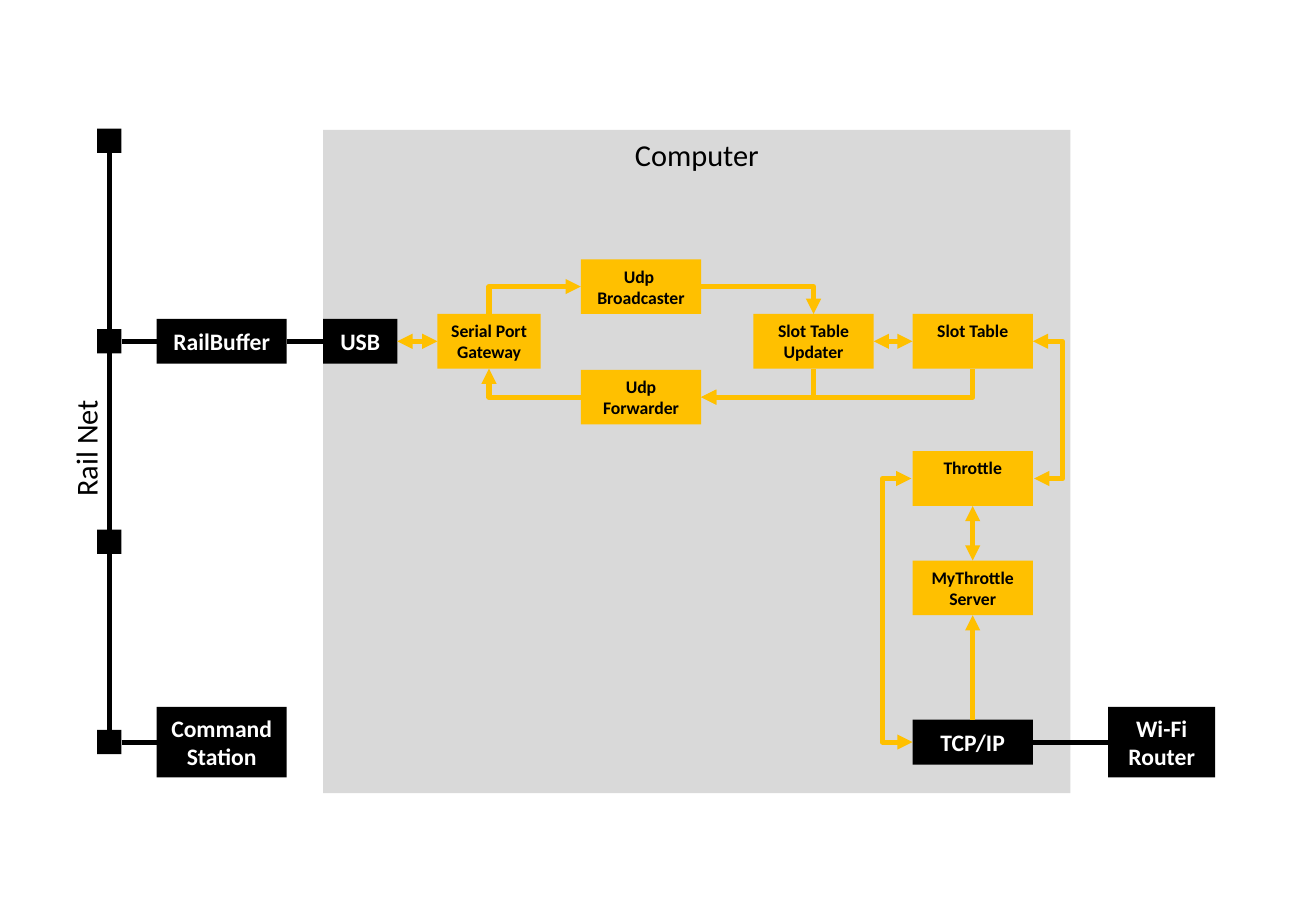
from lxml import etree
from pptx import Presentation
from pptx.dml.color import RGBColor
from pptx.enum.shapes import MSO_CONNECTOR, MSO_SHAPE
from pptx.enum.text import MSO_ANCHOR, PP_ALIGN
from pptx.oxml.ns import qn
from pptx.util import Inches, Pt

RECT = MSO_SHAPE.RECTANGLE
LINE, ELBOW = MSO_CONNECTOR.STRAIGHT, MSO_CONNECTOR.ELBOW
TOP_ANCHOR, MID_ANCHOR = MSO_ANCHOR.TOP, MSO_ANCHOR.MIDDLE
CENTER = PP_ALIGN.CENTER
TOP, LEFT, BOTTOM, RIGHT = range(4)  # connection sites of a rectangle

FONT = "Calibri"
BLACK, WHITE, GRAY, GOLD = "000000", "FFFFFF", "D9D9D9", "FFC000"

# Style: fill, text colour, size, bold, anchor
PANEL = (GRAY, BLACK, 18, False, TOP_ANCHOR)
DEVICE = (BLACK, WHITE, 14, True, MID_ANCHOR)
MODULE = (GOLD, BLACK, 10.5, True, TOP_ANCHOR)

# Row centres, from top to bottom
CAST, MAIN, SEND, DRIVE, SERVE, BASE = 2.36, 2.81, 3.27, 3.94, 4.84, 6.11

NODE_X, NODE_TOP, NODE_STEP, NODE_SIZE = 0.8, 1.16, 1.65, 0.2
NODES = ["node 1", "node 2", "node 3", "node 4"]

# Key: paragraphs, left, row centre, width, height, style
BOXES = {
    "computer": (["Computer"], 2.66, 3.8, 6.15, 5.46, PANEL),
    "station": (["Command Station"], 1.29, BASE, 1.07, 0.58, DEVICE),
    "buffer": (["RailBuffer"], 1.29, MAIN, 1.07, 0.37, DEVICE),
    "usb": (["USB"], 2.66, MAIN, 0.61, 0.37, DEVICE),
    "router": (["Wi-Fi Router"], 9.12, BASE, 0.88, 0.58, DEVICE),
    "tcp": (["TCP/IP"], 7.51, BASE, 0.99, 0.37, DEVICE),
    "gateway": (["Serial Port Gateway"], 3.6, MAIN, 0.85, 0.45, MODULE),
    "caster": (["Udp ", "Broadcaster"], 4.78, CAST, 0.99, 0.45, MODULE),
    "sender": (["Udp Forwarder"], 4.78, SEND, 0.99, 0.45, MODULE),
    "updater": (["Slot Table Updater"], 6.2, MAIN, 0.99, 0.45, MODULE),
    "slots": (["Slot Table"], 7.51, MAIN, 0.99, 0.45, MODULE),
    "throttle": (["Throttle"], 7.51, DRIVE, 0.99, 0.45, MODULE),
    "server": (["MyThrottle Server"], 7.51, SERVE, 0.99, 0.45, MODULE),
}

# Wires: box, side, box, side
WIRES = [(a, BOTTOM, b, TOP) for a, b in zip(NODES, NODES[1:])] + [
    ("node 2", RIGHT, "buffer", LEFT),
    ("node 4", RIGHT, "station", LEFT),
    ("buffer", RIGHT, "usb", LEFT),
    ("tcp", RIGHT, "router", LEFT),
]

# Flows: box, side, box, side, ends with an arrowhead
HEAD, TAIL = ("headEnd",), ("tailEnd",)
BOTH = HEAD + TAIL
FLOWS = [
    ("caster", LEFT, "gateway", TOP, HEAD),
    ("sender", LEFT, "gateway", BOTTOM, TAIL),
    ("usb", RIGHT, "gateway", LEFT, BOTH),
    ("caster", RIGHT, "updater", TOP, TAIL),
    ("sender", RIGHT, "updater", BOTTOM, HEAD),
    ("sender", RIGHT, "slots", BOTTOM, HEAD),
    ("updater", RIGHT, "slots", LEFT, BOTH),
    ("slots", RIGHT, "throttle", RIGHT, BOTH),
    ("throttle", BOTTOM, "server", TOP, BOTH),
    ("tcp", LEFT, "throttle", LEFT, BOTH),
    ("tcp", TOP, "server", BOTTOM, TAIL),
]
REACH, SHIFT = 0.25, 0.01  # how far a loop bulges; offset of its two ends


def color(code):
    """Turn a hex string into a colour."""
    return RGBColor.from_string(code)


def write(frame, paras, ink, size, bold=False):
    """Fill a text frame with centred paragraphs."""
    for i, text in enumerate(paras):
        para = frame.add_paragraph() if i else frame.paragraphs[0]
        para.alignment = CENTER
        run = para.add_run()
        run.text = text
        run.font.name, run.font.size, run.font.bold = FONT, Pt(size), bold
        run.font.color.rgb = color(ink)


def block(x, mid, wide, high, fill):
    """Add a plain rectangle centred on a row."""
    shape = slide.shapes.add_shape(
        RECT, Inches(x), Inches(mid - high / 2), Inches(wide), Inches(high))
    shape.shadow.inherit = False
    shape.fill.solid()
    shape.fill.fore_color.rgb = color(fill)
    shape.line.fill.background()
    return shape


def box(paras, x, mid, wide, high, style):
    """Add a labelled rectangle."""
    fill, ink, size, bold, anchor = style
    shape = block(x, mid, wide, high, fill)
    shape.text_frame.word_wrap = True
    shape.text_frame.vertical_anchor = anchor
    write(shape.text_frame, paras, ink, size, bold)
    return shape


def join(start, side, end, goal, ink, ends=()):
    """Connect two box sides: straight, around a corner or as a loop."""
    loop = side == goal
    corner = (side - goal) % 2 == 1
    kind = ELBOW if loop or corner else LINE
    link = slide.shapes.add_connector(kind, 0, 0, 0, 0)
    link.begin_connect(parts[start], side)
    link.end_connect(parts[end], goal)
    link.line.width = Pt(3)
    link.line.color.rgb = color(ink)
    props = link._element.spPr
    shape = props.find(qn("a:prstGeom"))
    if corner:
        shape.set("prst", "bentConnector2")
    if loop:
        step = SHIFT if side == RIGHT else -SHIFT
        link.end_x = link.begin_x + Inches(step)
        bend = etree.SubElement(shape.find(qn("a:avLst")), qn("a:gd"))
        bend.set("name", "adj1")
        bend.set("fmla", f"val {round(REACH / SHIFT * 100000)}")
    for tip in ends:
        etree.SubElement(props.find(qn("a:ln")), qn("a:" + tip)).set("type", "triangle")
    etree.SubElement(props, qn("a:effectLst"))


deck = Presentation()
deck.slide_width, deck.slide_height = Inches(10.83), Inches(7.5)
slide = deck.slides.add_slide(deck.slide_layouts[6])

parts = {key: box(*spec_row) for key, spec_row in BOXES.items()}
for i, key in enumerate(NODES):
    parts[key] = block(NODE_X, NODE_TOP + i * NODE_STEP, NODE_SIZE, NODE_SIZE, BLACK)

for wire in WIRES:
    join(*wire[:4], BLACK)
for *route, ends in FLOWS:
    join(*route, GOLD, ends)

label = slide.shapes.add_textbox(Inches(0.18), Inches(3.49), Inches(1.05), Inches(0.4))
label.rotation = 270
label.text_frame.word_wrap = False
write(label.text_frame, ["Rail Net"], BLACK, 18)

deck.save("out.pptx")
